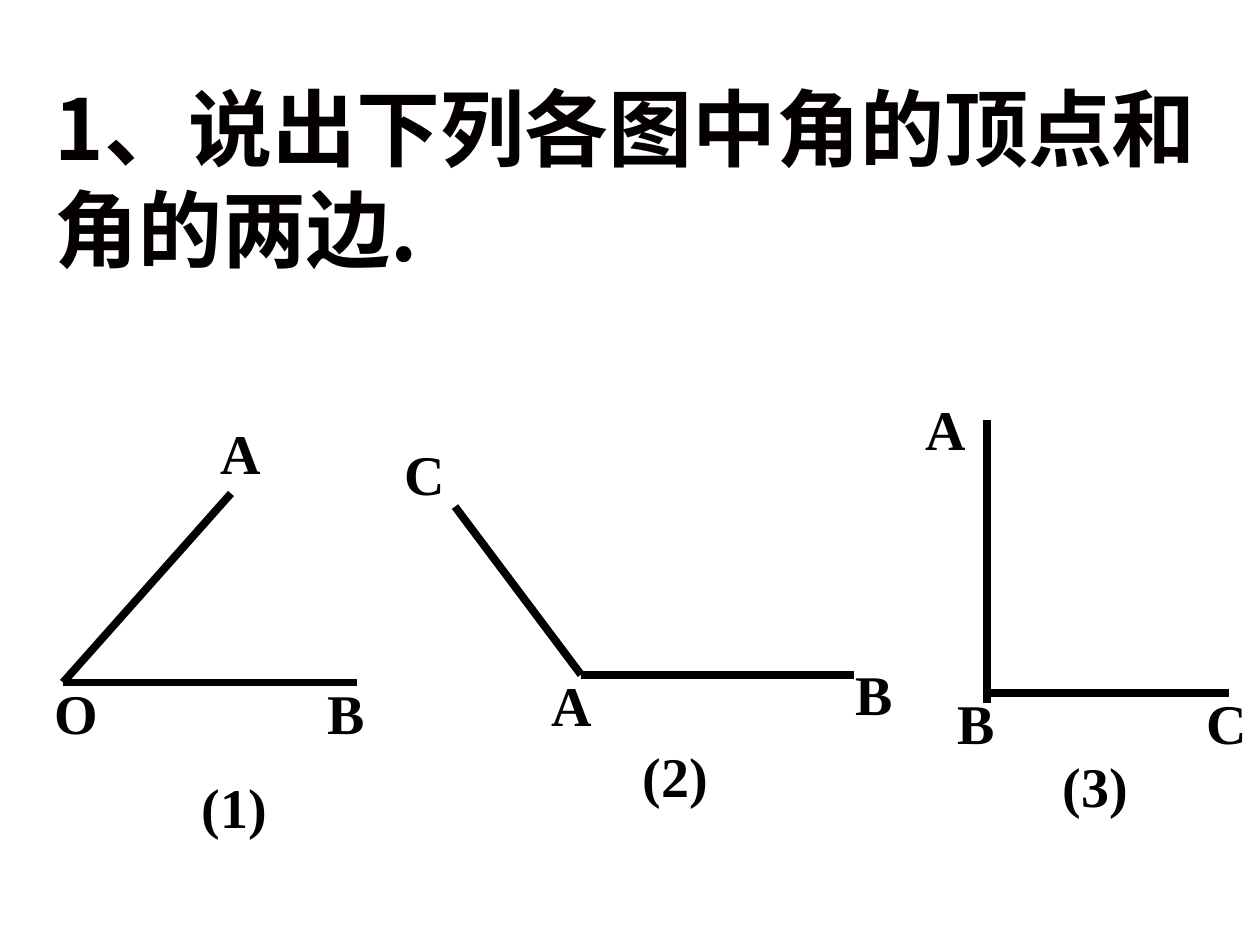
from dataclasses import dataclass

from lxml.etree import SubElement
from pptx import Presentation
from pptx.dml.color import RGBColor
from pptx.enum.shapes import MSO_CONNECTOR as Connector
from pptx.enum.text import MSO_ANCHOR as Anchor, MSO_AUTO_SIZE as AutoSize, PP_ALIGN as Align
from pptx.oxml.ns import qn
from pptx.util import Pt

COLOURS = {"text": "040000", "line": "000000", "background": "FFFFFF"}


def write_text(frame, text, font="Times New Roman", size=32, wrap=False, spacing=None):
    """Put one bold, left-aligned paragraph in a text frame."""
    frame.word_wrap = wrap
    frame.auto_size = AutoSize.NONE
    frame.vertical_anchor = Anchor.TOP
    frame.margin_left = frame.margin_right = Pt(7.2)
    frame.margin_top = frame.margin_bottom = Pt(3.6)
    paragraph = frame.paragraphs[0]
    paragraph.alignment = Align.LEFT
    if spacing:
        paragraph.line_spacing = Pt(spacing)
    run = paragraph.add_run()
    run.text = text
    run.font.name = font
    run.font.size = Pt(size)
    run.font.bold = True
    run.font.color.rgb = RGBColor.from_string(COLOURS["text"])
    SubElement(run.font._element, qn("a:ea"), typeface=font)


@dataclass
class Board:
    slide: object
    line_width: float = 4.5
    label_height: float = 46

    def title(self, text, left, top, width, height):
        shape = self.slide.shapes.title
        shape.left, shape.top, shape.width, shape.height = map(Pt, (left, top, width, height))
        write_text(shape.text_frame, text, font="Noto Sans CJK SC", size=48, wrap=True, spacing=57.6)

    def label(self, text, left, top, width=37, shapes=None):
        shapes = shapes or self.slide.shapes
        box = shapes.add_textbox(*map(Pt, (left, top, width, self.label_height)))
        write_text(box.text_frame, text)

    def side(self, start, end, shapes):
        line = shapes.add_connector(Connector.STRAIGHT, *map(Pt, (*start, *end)))
        line.line.width = Pt(self.line_width)
        line.line.color.rgb = RGBColor.from_string(COLOURS["line"])
        SubElement(line._element.spPr, qn("a:effectLst"))

    def angle(self, sides, labels):
        shapes = self.slide.shapes.add_group_shape().shapes
        for start, end in sides:
            self.side(start, end, shapes)
        for text, left, top in labels:
            self.label(text, left, top, shapes=shapes)


# Each angle: its two sides, then its letters with left and top
ANGLES = [
    ([((132, 282), (36, 390)), ((36, 390), (204, 390))],
     [("A", 118.8, 235.5), ("B", 180, 384), ("O", 24.3, 384)]),
    ([((564, 240), (564, 402)), ((564, 396), (702, 396))],
     [("B", 540, 390), ("C", 682.6, 390), ("A", 522, 222)]),
    ([((260, 289.5), (332, 385.5)), ((332, 385.5), (488, 385.5))],
     [("A", 308, 379.5), ("B", 482, 373.5), ("C", 224, 247.5)]),
]
CAPTIONS = [("(1)", 108, 438), ("(3)", 600, 426), ("(2)", 360, 420)]


def main():
    presentation = Presentation()
    presentation.slide_width, presentation.slide_height = Pt(720), Pt(540)
    slide = presentation.slides.add_slide(presentation.slide_layouts[5])
    slide.background.fill.solid()
    slide.background.fill.fore_color.rgb = RGBColor.from_string(COLOURS["background"])
    board = Board(slide)

    # Question
    board.title("1、说出下列各图中角的顶点和角的两边.", 24, 40, 672, 122.4)

    # Angles and their numbers
    for sides, labels in ANGLES:
        board.angle(sides, labels)
    for text, left, top in CAPTIONS:
        board.label(text, left, top, width=52)

    presentation.save("out.pptx")


if __name__ == "__main__":
    main()
